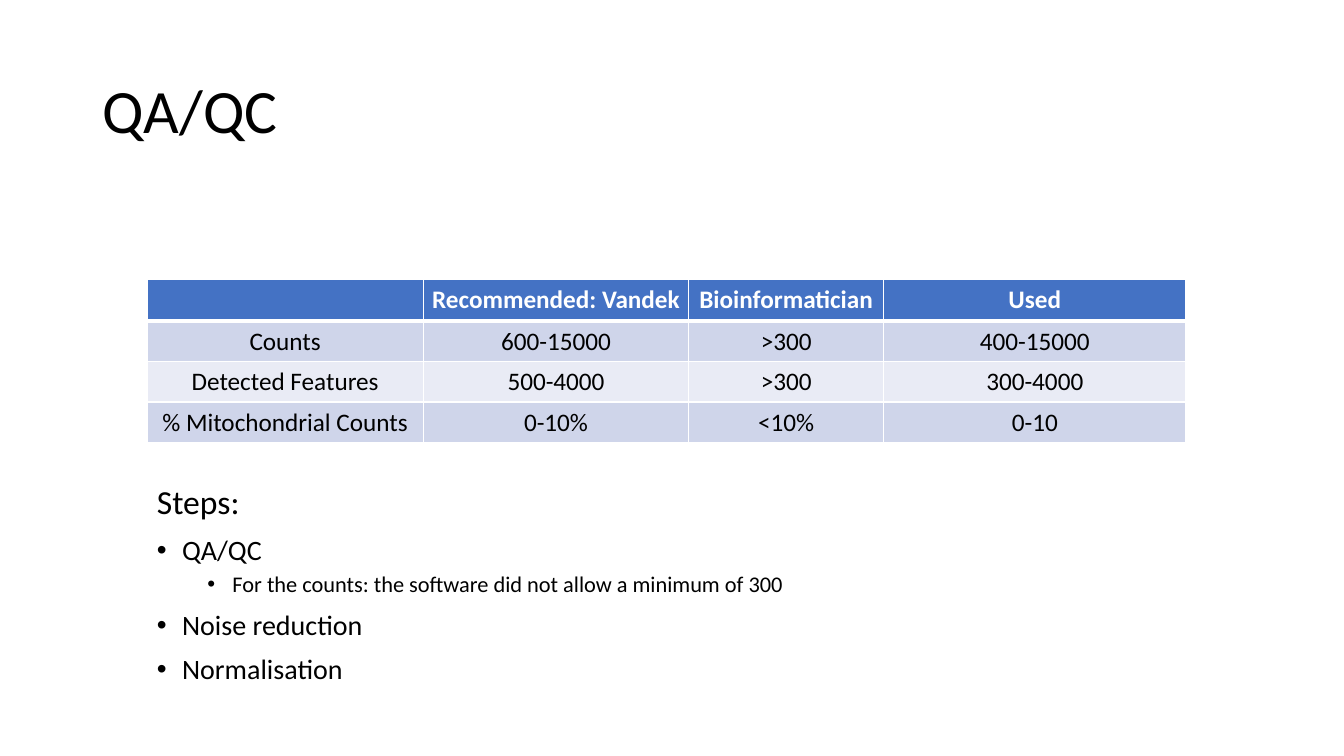
from dataclasses import dataclass

from lxml import etree
from pptx import Presentation
from pptx.dml.color import RGBColor
from pptx.enum.text import MSO_ANCHOR, PP_ALIGN
from pptx.oxml.ns import qn
from pptx.util import Emu, Inches, Pt

CENTER = PP_ALIGN.CENTER
MIDDLE = MSO_ANCHOR.MIDDLE
TOP = MSO_ANCHOR.TOP

FONT = "Calibri"
BLACK = "000000"
WHITE = "FFFFFF"
HEADER_FILL = "4472C4"
BAND_FILLS = ("CFD5EA", "E9EBF5")

SLIDE_WIDTH = Inches(13.33)
SLIDE_HEIGHT = Inches(7.5)
GRID_COLUMNS = 160
GRID_ROWS = 90

TABLE_LEFT, TABLE_TOP = 17.5, 33.25
COLUMN_WIDTHS = (32.9, 31.6, 23.2, 36)
HEADER_HEIGHT, ROW_HEIGHT = 5, 4.8
TABLE_ROWS = (
    ("", "Recommended: Vandek", "Bioinformatician", "Used"),
    ("Counts", "600-15000", ">300", "400-15000"),
    ("Detected Features", "500-4000", ">300", "300-4000"),
    ("% Mitochondrial Counts", "0-10%", "<10%", "0-10"),
)


@dataclass(frozen=True)
class Line:
    text: str
    size: float
    level: int = 0
    bullet: bool = True
    space_before: float = 10


TITLE = (Line("QA/QC", 44, bullet=False, space_before=0),)
STEPS = (
    Line("Steps:", 24, bullet=False),
    Line("QA/QC", 20),
    Line("For the counts: the software did not allow a minimum of 300", 16,
         level=1, space_before=5),
    Line("Noise reduction", 20),
    Line("Normalisation", 20),
)


def across(columns: float) -> Emu:
    return Emu(round(SLIDE_WIDTH * columns / GRID_COLUMNS))


def down(rows: float) -> Emu:
    return Emu(round(SLIDE_HEIGHT * rows / GRID_ROWS))


def color(value: str) -> RGBColor:
    return RGBColor.from_string(value)


def write(para, text: str, *, size: float, fill: str = BLACK,
          bold: bool = False) -> None:
    span = para.add_run()
    span.text = text
    span.font.name = FONT
    span.font.size = Pt(size)
    span.font.bold = bold
    span.font.color.rgb = color(fill)


def add_bullet(para, level: int) -> None:
    para.level = level
    properties = para._p.get_or_add_pPr()
    properties.set("marL", str(Inches(0.25 + 0.5 * level)))
    properties.set("indent", str(Inches(-0.25)))
    etree.SubElement(properties, qn("a:buFont"), typeface="Arial")
    etree.SubElement(properties, qn("a:buChar"), char="•")


def add_text(page, left: float, top: float, width: float, height: float,
             lines: tuple[Line, ...], anchor) -> None:
    box = page.shapes.add_textbox(across(left), down(top),
                                  across(width), down(height))
    frame = box.text_frame
    frame.word_wrap = True
    frame.vertical_anchor = anchor
    for index, line in enumerate(lines):
        para = frame.add_paragraph() if index else frame.paragraphs[0]
        para.line_spacing = 0.9
        para.space_before = Pt(line.space_before)
        if line.bullet:
            add_bullet(para, line.level)
        write(para, line.text, size=line.size)


def add_borders(cell, bottom_width: float) -> None:
    properties = cell._tc.get_or_add_tcPr()
    widths = {"a:lnL": 1, "a:lnR": 1, "a:lnT": 1, "a:lnB": bottom_width}
    for tag, width in widths.items():
        border = etree.SubElement(properties, qn(tag), w=str(Pt(width)))
        paint = etree.SubElement(border, qn("a:solidFill"))
        etree.SubElement(paint, qn("a:srgbClr"), val=WHITE)


def format_cell(cell, text: str, row: int) -> None:
    is_header = row == 0
    add_borders(cell, 3 if is_header else 1)
    cell.fill.solid()
    cell.fill.fore_color.rgb = color(
        HEADER_FILL if is_header else BAND_FILLS[(row - 1) % 2])
    cell.vertical_anchor = MIDDLE
    cell.margin_left = cell.margin_right = Inches(0.05)
    para = cell.text_frame.paragraphs[0]
    para.alignment = CENTER
    if text:
        write(para, text, size=18, fill=WHITE if is_header else BLACK,
              bold=is_header)


def add_thresholds(page) -> None:
    """Add the table of quality limits."""
    heights = [HEADER_HEIGHT] + [ROW_HEIGHT] * (len(TABLE_ROWS) - 1)
    table = page.shapes.add_table(
        len(heights), len(COLUMN_WIDTHS), across(TABLE_LEFT), down(TABLE_TOP),
        across(sum(COLUMN_WIDTHS)), down(sum(heights))).table
    for column, width in zip(table.columns, COLUMN_WIDTHS):
        column.width = across(width)
    for row, (height, texts) in enumerate(zip(heights, TABLE_ROWS)):
        table.rows[row].height = down(height)
        for column, text in enumerate(texts):
            format_cell(table.cell(row, column), text, row)


def main() -> None:
    deck = Presentation()
    deck.slide_width, deck.slide_height = SLIDE_WIDTH, SLIDE_HEIGHT
    page = deck.slides.add_slide(deck.slide_layouts[6])
    add_text(page, 11, 4.8, 138, 17.4, TITLE, MIDDLE)
    add_thresholds(page)
    add_text(page, TABLE_LEFT, 57.25, 135.5, 26.9, STEPS, TOP)
    deck.save("out.pptx")


if __name__ == "__main__":
    main()
